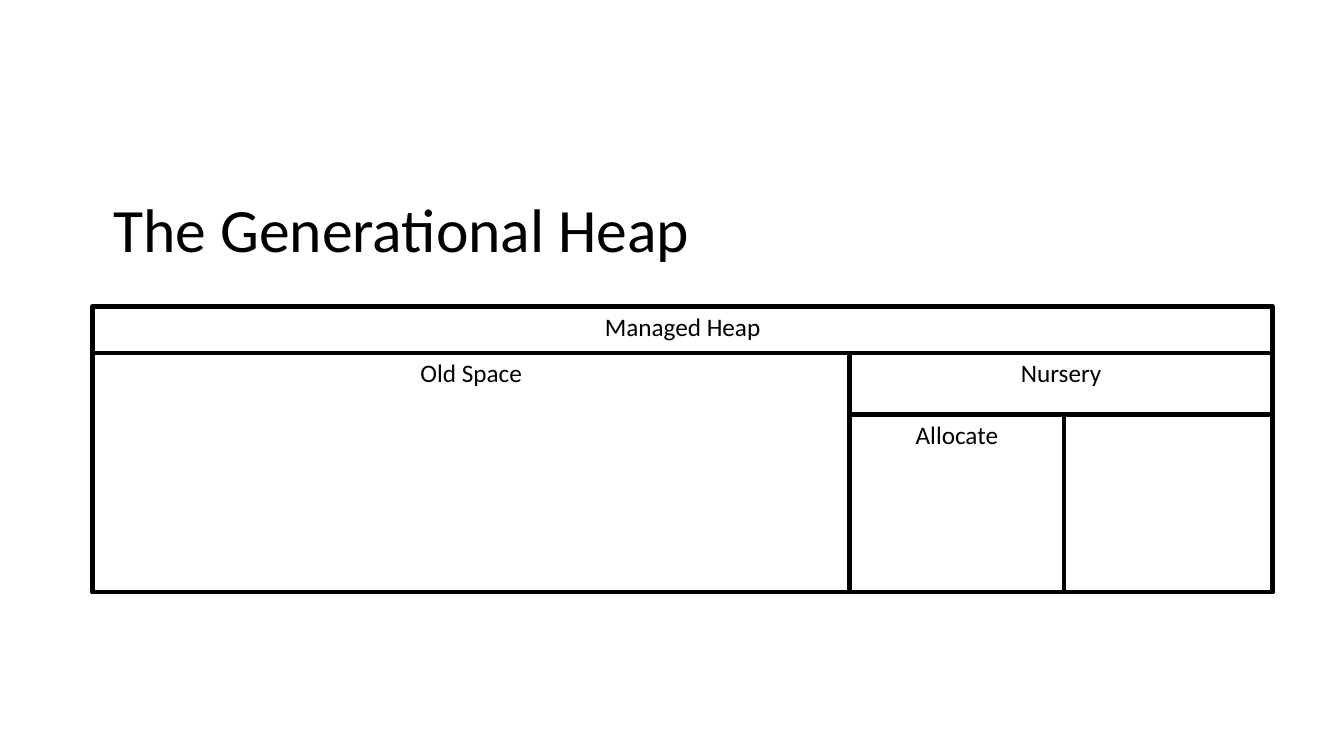
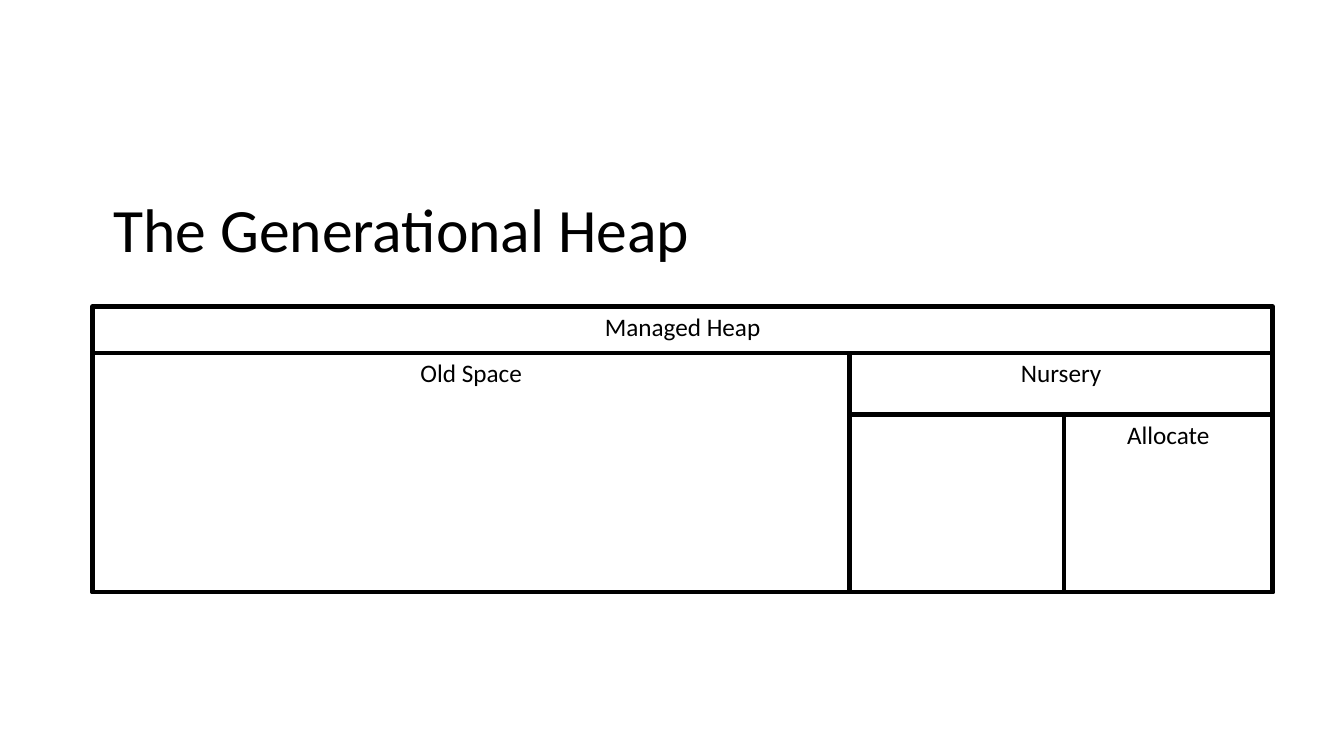
from typing import NamedTuple

from pptx import Presentation
from pptx.dml.color import RGBColor
from pptx.enum.shapes import MSO_SHAPE as Shape
from pptx.enum.text import MSO_ANCHOR as Anchor, MSO_AUTO_SIZE as AutoSize, PP_ALIGN as Align
from pptx.slide import Slide
from pptx.text.text import TextFrame
from pptx.util import Pt

COLORS = {"ink": "000000", "paper": "FFFFFF"}
FONT = "Calibri"
TITLE_SIZE, LABEL_SIZE = 44, 18
BORDER_WIDTH = 3.25

# Edges of the heap diagram, in points
HEAP_LEFT, NURSERY_LEFT, HALF_SPLIT, HEAP_RIGHT = 66.2, 607, 760, 909
HEAP_TOP, SPACES_TOP, HALVES_TOP, HEAP_BOTTOM = 219, 252, 296, 423


class Region(NamedTuple):
    label: str
    left: float
    top: float
    right: float


def color(name: str) -> RGBColor:
    return RGBColor.from_string(COLORS[name])


def write(frame: TextFrame, text: str, size: float, align: Align) -> None:
    paragraph = frame.paragraphs[0]
    paragraph.alignment = align
    run = paragraph.add_run()
    run.text = text
    run.font.name = FONT
    run.font.size = Pt(size)
    run.font.color.rgb = color("ink")


def add_title(slide: Slide, text: str) -> None:
    title = slide.shapes.add_textbox(Pt(74), Pt(133), Pt(451.5), Pt(60.5))
    title.text_frame.word_wrap = True
    title.text_frame.auto_size = AutoSize.SHAPE_TO_FIT_TEXT
    write(title.text_frame, text, TITLE_SIZE, Align.LEFT)


def add_region(slide: Slide, region: Region) -> None:
    """Draw an outlined part of the heap, reaching down to the heap's bottom edge."""
    box = slide.shapes.add_shape(
        Shape.RECTANGLE, Pt(region.left), Pt(region.top),
        Pt(region.right - region.left), Pt(HEAP_BOTTOM - region.top))
    box.shadow.inherit = False
    box.fill.background()
    box.line.color.rgb = color("ink")
    box.line.width = Pt(BORDER_WIDTH)
    box.text_frame.word_wrap = True
    box.text_frame.vertical_anchor = Anchor.TOP
    if region.label:
        write(box.text_frame, region.label, LABEL_SIZE, Align.CENTER)


def add_heap_slide(deck: Presentation, left_half: str, right_half: str) -> None:
    slide = deck.slides.add_slide(deck.slide_layouts[6])
    slide.background.fill.solid()
    slide.background.fill.fore_color.rgb = color("paper")
    add_title(slide, "The Generational Heap")
    regions = (
        Region("Managed Heap", HEAP_LEFT, HEAP_TOP, HEAP_RIGHT),
        Region("Nursery", NURSERY_LEFT, SPACES_TOP, HEAP_RIGHT),
        Region("Old Space", HEAP_LEFT, SPACES_TOP, NURSERY_LEFT),
        Region(left_half, NURSERY_LEFT, HALVES_TOP, HALF_SPLIT),
        Region(right_half, HALF_SPLIT, HALVES_TOP, HEAP_RIGHT),
    )
    for region in regions:
        add_region(slide, region)


def main() -> None:
    deck = Presentation()
    deck.slide_width, deck.slide_height = Pt(960), Pt(540)
    for left_half, right_half in (("Allocate", ""), ("", "Allocate")):
        add_heap_slide(deck, left_half, right_half)
    deck.save("out.pptx")


if __name__ == "__main__":
    main()
